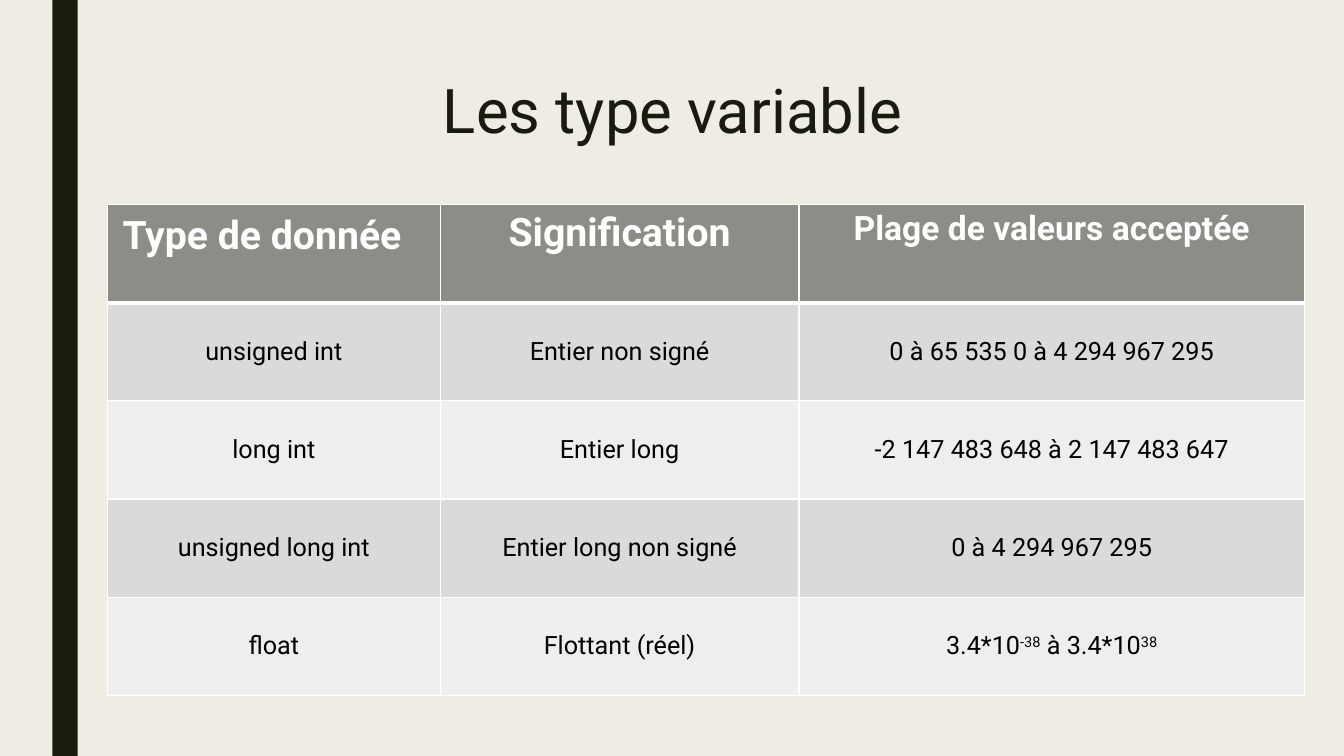
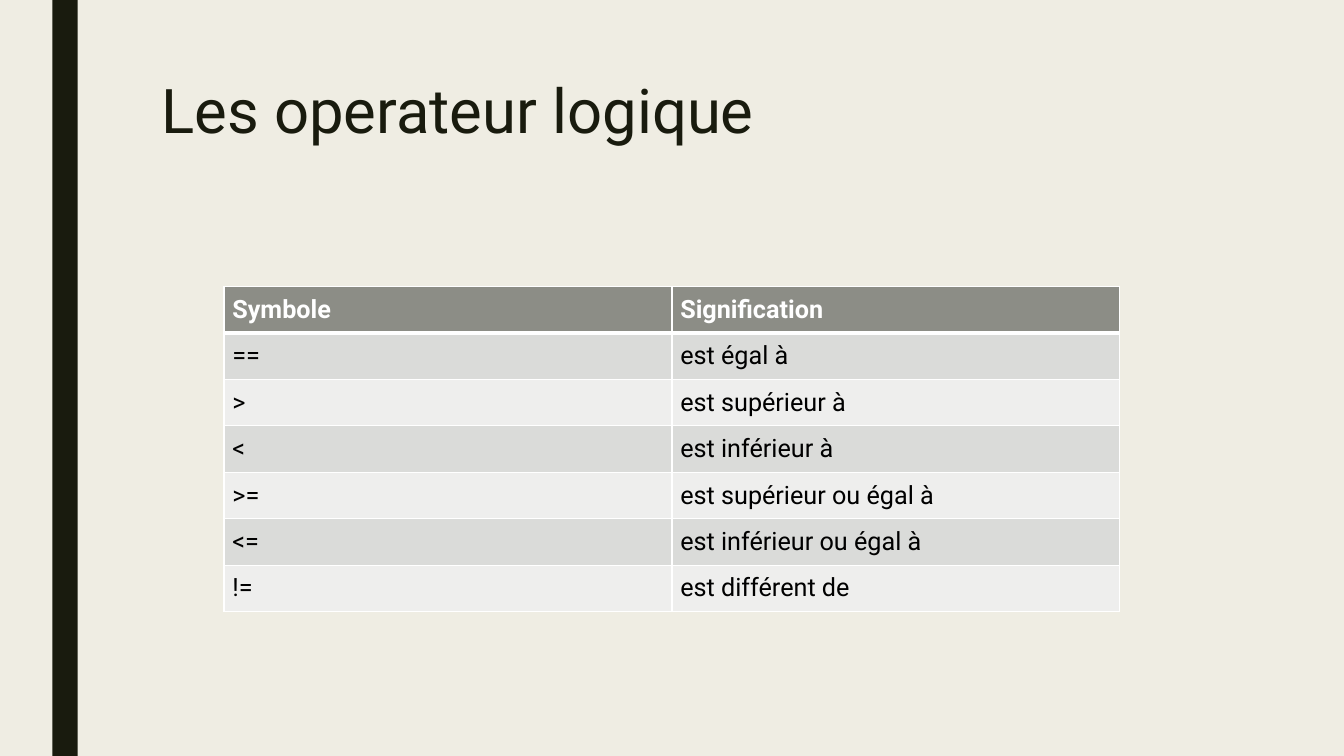
from dataclasses import dataclass

from lxml import etree
from pptx import Presentation
from pptx.dml.color import RGBColor
from pptx.enum import shapes, text
from pptx.oxml import ns
from pptx.util import Pt


@dataclass(frozen=True)
class Theme:
    font: str = "Roboto"
    background: str = "EFEDE3"
    dark: str = "191B0E"
    header: str = "8C8D86"
    bands: tuple = ("DADBD9", "EEEEED")
    white: str = "FFFFFF"
    black: str = "000000"
    title_size: int = 44
    heading_large: int = 28
    heading_medium: int = 24
    body_size: int = 18
    thin_border: int = 1
    thick_border: int = 3


THEME = Theme()
SLIDE_WIDTH, SLIDE_HEIGHT = 960, 540
TITLE_BOX = (108, 54, 756, 116.64)
BAND_BOX = (37.44, 0, 18, SLIDE_HEIGHT)
TITLE_ONLY = 5
CENTER, LEFT = text.PP_ALIGN.CENTER, text.PP_ALIGN.LEFT
TOP, MIDDLE = text.MSO_ANCHOR.TOP, text.MSO_ANCHOR.MIDDLE


@dataclass(frozen=True)
class CellStyle:
    align: text.PP_ALIGN
    anchor: text.MSO_ANCHOR
    insets: tuple  # horizontal, vertical


def color(value):
    return RGBColor.from_string(value)


def add_run(paragraph, words, size, ink, bold=False, baseline=0):
    run = paragraph.add_run()
    run.text = words
    run.font.name = THEME.font
    run.font.size = Pt(size)
    run.font.bold = bold
    run.font.color.rgb = color(ink)
    if baseline:
        run.font._element.set("baseline", str(baseline * 1000))


# Slide frame: side band and title
def add_band(slide, box):
    band = slide.shapes.add_shape(shapes.MSO_SHAPE.RECTANGLE, *map(Pt, box))
    band.shadow.inherit = False
    band.fill.solid()
    band.fill.fore_color.rgb = color(THEME.dark)
    band.line.fill.background()


def set_title(slide, box, words, align):
    title = slide.shapes.title
    title.left, title.top, title.width, title.height = map(Pt, box)
    frame = title.text_frame
    frame.word_wrap = True
    frame.auto_size = text.MSO_AUTO_SIZE.NONE
    frame.vertical_anchor = TOP
    paragraph = frame.paragraphs[0]
    paragraph.alignment = align
    paragraph.line_spacing = 0.89
    add_run(paragraph, words, THEME.title_size, THEME.dark)


def add_titled_slide(presentation, words, align):
    slide = presentation.slides.add_slide(presentation.slide_layouts[TITLE_ONLY])
    add_band(slide, BAND_BOX)
    set_title(slide, TITLE_BOX, words, align)
    return slide


# Table
def set_borders(cell, top, bottom):
    properties = cell._tc.get_or_add_tcPr()
    widths = {"L": THEME.thin_border, "R": THEME.thin_border, "T": top, "B": bottom}
    for side, width in widths.items():
        line = etree.SubElement(properties, ns.qn(f"a:ln{side}"), w=str(Pt(width)))
        fill = etree.SubElement(line, ns.qn("a:solidFill"))
        etree.SubElement(fill, ns.qn("a:srgbClr"), val=THEME.white)


def fill_cell(cell, runs, style, row):
    is_header = row == 0
    thin, thick = THEME.thin_border, THEME.thick_border
    set_borders(cell, thick if row == 1 else thin, thick if is_header else thin)
    cell.fill.solid()
    cell.fill.fore_color.rgb = color(THEME.header if is_header else THEME.bands[(row - 1) % 2])
    cell.vertical_anchor = style.anchor
    horizontal, vertical = map(Pt, style.insets)
    cell.margin_left = cell.margin_right = horizontal
    cell.margin_top = cell.margin_bottom = vertical
    paragraph = cell.text_frame.paragraphs[0]
    paragraph.alignment = style.align
    # A plain string is one run at body size
    if isinstance(runs, str):
        runs = [(runs, THEME.body_size, 0)]
    ink = THEME.white if is_header else THEME.black
    for words, size, baseline in runs:
        add_run(paragraph, words, size, ink, is_header, baseline)


def add_grid(slide, box, column_widths, rows, header_styles, body_style):
    table = slide.shapes.add_table(len(rows), len(column_widths), *map(Pt, box)).table
    table.horz_banding = False
    for column, width in zip(table.columns, column_widths):
        column.width = Pt(width)
    for row, contents in enumerate(rows):
        table.rows[row].height = Pt(box[3] / len(rows))
        for column, runs in enumerate(contents):
            style = body_style if row else header_styles[column]
            fill_cell(table.cell(row, column), runs, style, row)


# Slide 1: variable types
def add_types_slide(presentation):
    slide = add_titled_slide(presentation, "Les type variable ", CENTER)
    body, large, medium = THEME.body_size, THEME.heading_large, THEME.heading_medium
    rows = [
        ([("Type de donnée", large, 0), ("\t", body, 0)],
         [("Signification", large, 0)],
         [("Plage de valeurs acceptée", medium, 0)]),
        ("unsigned int", "Entier non signé", "0 à 65 535 0 à 4 294 967 295"),
        ("long int", "Entier long", "-2 147 483 648 à 2 147 483 647"),
        ("unsigned long int", "Entier long non signé", "0 à 4 294 967 295"),
        ("float", "Flottant (réel)",
         [("3.4*10", body, 0), ("-38", body, 30),
          ("\u00a0à 3.4*10", body, 0), ("38", body, 30)]),
    ]
    first_heading = CellStyle(CENTER, TOP, (7.2, 5.76))
    heading = CellStyle(CENTER, TOP, (7.2, 3.6))
    add_grid(slide, (76.8, 146.2, 854.9, 350.5), (237.6, 256.4, 360.9), rows,
             (first_heading, heading, heading), CellStyle(CENTER, MIDDLE, (7.2, 5.76)))


# Slide 2: logical operators
def add_operators_slide(presentation):
    slide = add_titled_slide(presentation, "Les operateur logique", LEFT)
    rows = [
        ("Symbole", "Signification"),
        ("==", "est égal à"),
        (">", "est supérieur à"),
        ("<", "est inférieur à"),
        (">=", "est supérieur ou égal à"),
        ("<=", "est inférieur ou égal à"),
        ("!=", "est différent de"),
    ]
    heading = CellStyle(LEFT, MIDDLE, (6, 6))
    add_grid(slide, (160, 204.6, 640, 232.4), (320, 320), rows,
             (heading, heading), CellStyle(LEFT, TOP, (6, 6)))


def main():
    presentation = Presentation()
    presentation.slide_width = Pt(SLIDE_WIDTH)
    presentation.slide_height = Pt(SLIDE_HEIGHT)
    background = presentation.slide_master.background.fill
    background.solid()
    background.fore_color.rgb = color(THEME.background)
    add_types_slide(presentation)
    add_operators_slide(presentation)
    presentation.save("out.pptx")


main()
